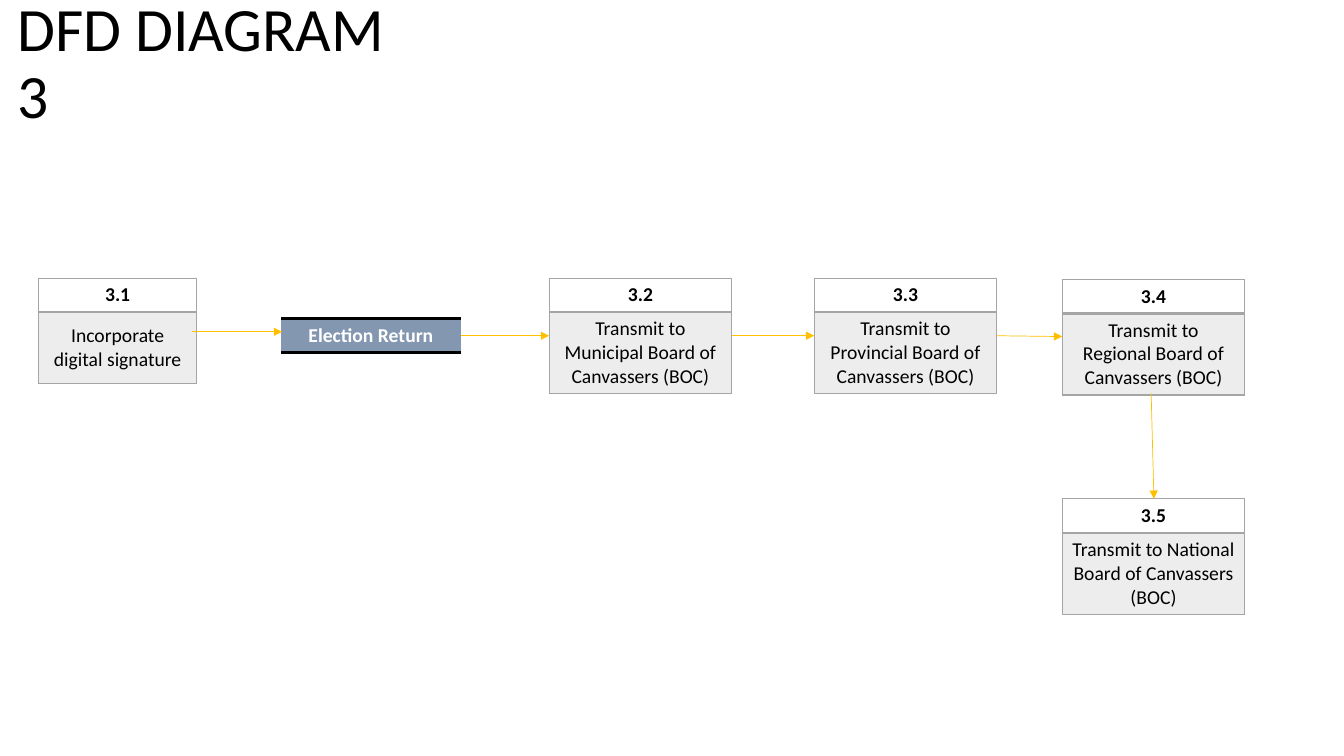
"""Build the DFD diagram 3 slide."""
import pptx
import pptx.dml.color
import pptx.enum.shapes
import pptx.enum.text
import pptx.oxml
import pptx.oxml.ns
import pptx.util

Cm = pptx.util.Cm
Pt = pptx.util.Pt
ALIGN = pptx.enum.text.PP_ALIGN
MIDDLE = pptx.enum.text.MSO_ANCHOR.MIDDLE
HEX = {"black": "000000", "white": "FFFFFF", "grey": "A5A5A5",
       "slate": "8497B0", "gold": "FFC000"}
HEAD, BODY = 0.48, 1.8
STEPS = [
    ("3.1", "Incorporate digital signature", 0.97, 7.01, 3.99, 2.67),
    ("3.2", "Transmit to Municipal Board of Canvassers (BOC)", 13.84, 7.01, 4.6, 2.87),
    ("3.3", "Transmit to Provincial Board of Canvassers (BOC)", 20.52, 7.01, 4.6, 2.87),
    ("3.4", "Transmit to Regional Board of Canvassers (BOC)", 26.77, 7.04, 4.6, 2.87),
    ("3.5", "Transmit to National Board of Canvassers (BOC)", 26.77, 12.57, 4.6, 2.87),
]
FLOWS = [
    (4.83, 8.36, 7.11, 8.36),
    (11.61, 8.46, 13.84, 8.46),
    (18.44, 8.46, 20.52, 8.46),
    (25.12, 8.46, 26.77, 8.48),
    (29.01, 9.91, 29.08, 12.57),
]


def color(name):
    return pptx.dml.color.RGBColor.from_string(HEX[name])


def add_xml(parent, tag, inner="", attrs=""):
    space = pptx.oxml.ns.nsdecls("a")
    parent.append(pptx.oxml.parse_xml(f"<a:{tag} {space} {attrs}>{inner}</a:{tag}>"))


def write(frame, text, size=14, bold=False, ink="black", align=ALIGN.CENTER, space=None):
    frame.word_wrap = True
    para = frame.paragraphs[0]
    para.alignment = align
    para.line_spacing = space
    run = para.add_run()
    run.text = text
    run.font.name = "Calibri"
    run.font.size = Pt(size)
    run.font.bold = bold
    run.font.color.rgb = color(ink)


def set_edges(cell, edges, ink):
    """Draw the given sides in points and clear the other sides."""
    props = cell._tc.get_or_add_tcPr()
    for side in "LRTB":
        width = edges.get(side, 0)
        fill = f'<a:solidFill><a:srgbClr val="{HEX[ink]}"/></a:solidFill>'
        add_xml(props, f"ln{side}", fill if width else "<a:noFill/>",
                f'w="{Pt(width)}"')


def set_fill(cell, name=None, alpha=None):
    if name is None:
        cell.fill.background()
        return
    cell.fill.solid()
    cell.fill.fore_color.rgb = color(name)
    if alpha:
        tint = cell._tc.tcPr.find(".//" + pptx.oxml.ns.qn("a:solidFill") + "/*")
        if tint is None:
            return
        fill = cell._tc.tcPr.find(pptx.oxml.ns.qn("a:solidFill"))
        add_xml(fill[0], "alpha", attrs=f'val="{alpha * 1000}"')


def add_grid(slide, left, top, width, height, rows):
    frame = slide.shapes.add_table(len(rows), 1, Cm(left), Cm(top), Cm(width), Cm(height))
    table = frame.table
    table.first_row = table.horz_banding = False
    for row, tall in zip(table.rows, rows):
        row.height = Cm(tall)
    frame.height = Cm(height)
    cells = [table.cell(index, 0) for index in range(len(rows))]
    for cell in cells:
        cell.vertical_anchor = MIDDLE
    return cells


def add_step(slide, label, text, left, top, width, height):
    head, body = add_grid(slide, left, top, width, height, [HEAD, BODY])
    write(head.text_frame, label, bold=True)
    write(body.text_frame, text)
    set_edges(head, {"L": 1, "R": 1, "T": 1, "B": 2}, "grey")
    set_edges(body, {"L": 1, "R": 1, "T": 2, "B": 1}, "grey")
    set_fill(head)
    set_fill(body, "grey", 20)


def add_store(slide, text, left, top, width, height):
    cell = add_grid(slide, left, top, width, height, [HEAD])[0]
    write(cell.text_frame, text, bold=True, ink="white")
    set_edges(cell, {"T": 2, "B": 2}, "black")
    set_fill(cell, "slate")


def add_flow(slide, *ends):
    kind = pptx.enum.shapes.MSO_CONNECTOR.STRAIGHT
    flow = slide.shapes.add_connector(kind, *map(Cm, ends))
    flow.line.color.rgb = color("gold")
    flow.line.width = Pt(0.5)
    add_xml(flow.line._get_or_add_ln(), "tailEnd", attrs='type="triangle"')
    add_xml(flow._element.spPr, "effectLst")


def add_title(slide, text):
    title = slide.shapes.title
    title.left, title.top, title.width, title.height = map(Cm, (0.18, 0.1, 10.8, 3.07))
    title.text_frame.vertical_anchor = MIDDLE
    write(title.text_frame, text, size=44, align=ALIGN.LEFT, space=0.9)


def main():
    deck = pptx.Presentation()
    deck.slide_width, deck.slide_height = Cm(33.87), Cm(19.05)
    slide = deck.slides.add_slide(deck.slide_layouts[5])
    add_title(slide, "DFD DIAGRAM 3")
    for step in STEPS:
        add_step(slide, *step)
    add_store(slide, "Election Return", 7.09, 8.03, 4.52, 0.84)
    for flow in FLOWS:
        add_flow(slide, *flow)
    deck.save("out.pptx")


if __name__ == "__main__":
    main()
